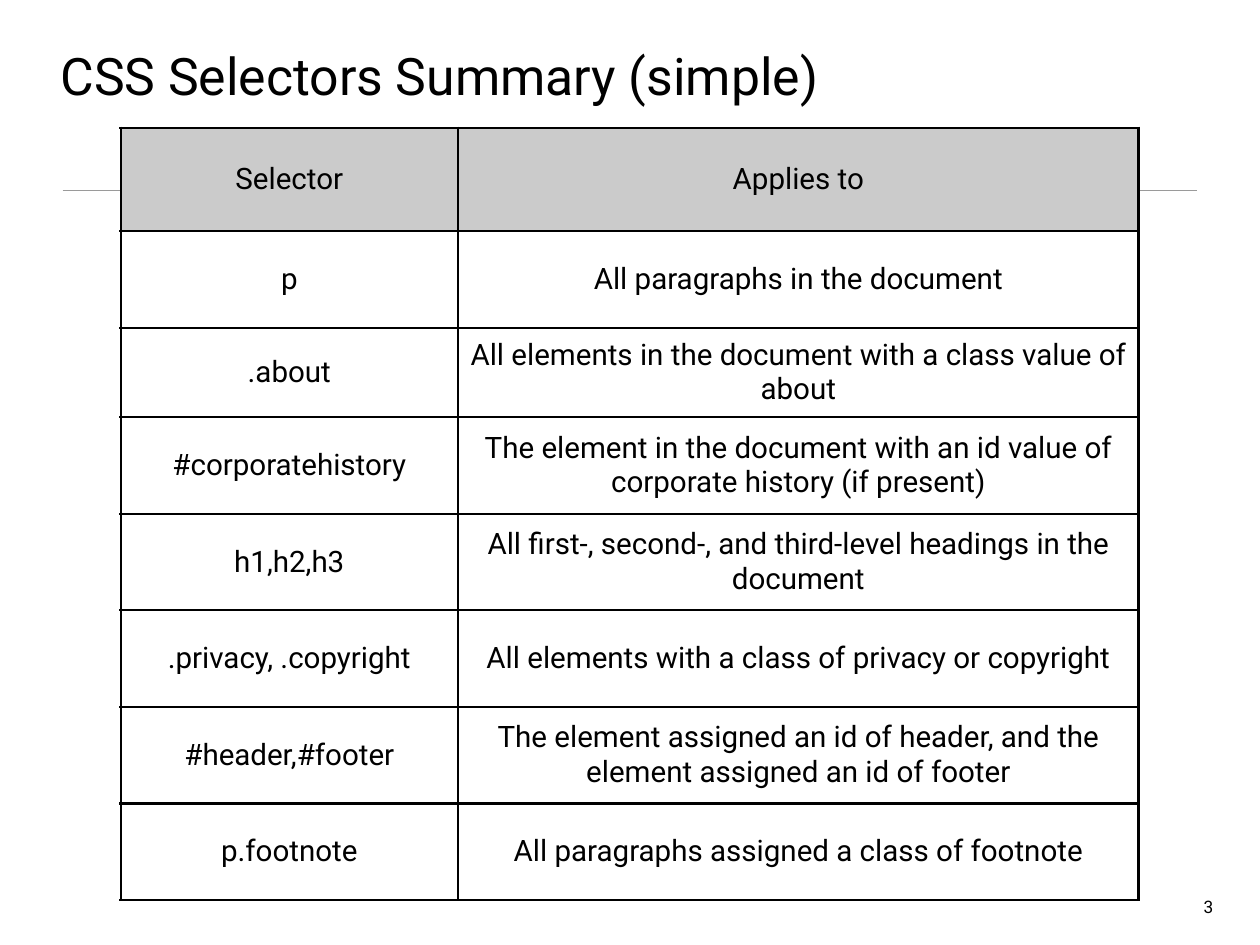
from lxml import etree
from pptx import Presentation
from pptx import util as u
from pptx.dml.color import RGBColor
from pptx.enum import shapes, text
from pptx.oxml import ns

Pt = u.Pt
BLACK = RGBColor(0, 0, 0)
GRAY = RGBColor(0xCB, 0xCB, 0xCB)
RULE = RGBColor(0x9A, 0x9A, 0x9A)
FACE = "Roboto"
PAD = Pt(4.5)
LEFT, MID, RIGHT = text.PP_ALIGN.LEFT, text.PP_ALIGN.CENTER, text.PP_ALIGN.RIGHT
TOP, CORE, BASE = text.MSO_ANCHOR.TOP, text.MSO_ANCHOR.MIDDLE, text.MSO_ANCHOR.BOTTOM
SIDES = ("margin_left", "margin_top", "margin_right", "margin_bottom")

ROWS = [
    ("Selector", "Applies to"),
    ("p", "All paragraphs in the document"),
    (".about", "All elements in the document with a class value of about"),
    ("#corporatehistory",
     "The element in the document with an id value of corporate history (if present)"),
    ("h1,h2,h3", "All first-, second-, and third-level headings in the document"),
    (".privacy, .copyright", "All elements with a class of privacy or copyright"),
    ("#header,#footer",
     "The element assigned an id of header, and the element assigned an id of footer"),
    ("p.footnote", "All paragraphs assigned a class of footnote"),
]
WIDTHS = (274.3, 553)
HEIGHTS = (84.2, 78.5, 72.7) + (78.5,) * 5


def apply(item, values):
    for name, value in values.items():
        setattr(item, name, value)


def write(frame, words, size, align):
    frame.text = words
    para = frame.paragraphs[0]
    para.alignment = align
    font = para.runs[0].font
    apply(font, {"size": Pt(size), "name": FACE})
    font.color.rgb = BLACK


def place(frame, anchor, wrap, fit):
    apply(frame, dict.fromkeys(SIDES, PAD))
    apply(frame, {"vertical_anchor": anchor, "word_wrap": wrap, "auto_size": fit})


def add_rule(slide, x, y, wide):
    line = slide.shapes.add_connector(
        shapes.MSO_CONNECTOR.STRAIGHT, Pt(x), Pt(y), Pt(x + wide), Pt(y))
    line.line.color.rgb = RULE
    line.line.width = Pt(1)
    etree.SubElement(line.element.spPr, ns.qn("a:effectLst"))


def add_title(slide, x, y, wide, high):
    title = slide.shapes.title
    apply(title, {"left": Pt(x), "top": Pt(y), "width": Pt(wide), "height": Pt(high)})
    place(title.text_frame, BASE, True, text.MSO_AUTO_SIZE.NONE)
    write(title.text_frame, "CSS Selectors Summary (simple)", 42, LEFT)


def add_number(slide, x, y, wide, high):
    box = slide.shapes.add_textbox(Pt(x), Pt(y), Pt(wide), Pt(high))
    place(box.text_frame, TOP, False, text.MSO_AUTO_SIZE.SHAPE_TO_FIT_TEXT)
    write(box.text_frame, "3", 14, RIGHT)


def add_border(cell):
    props = cell._tc.get_or_add_tcPr()
    for spot, side in enumerate(("lnL", "lnR", "lnT", "lnB")):
        edge = etree.Element(ns.qn("a:" + side), w=str(Pt(2)))
        fill = etree.SubElement(edge, ns.qn("a:solidFill"))
        etree.SubElement(fill, ns.qn("a:srgbClr"), val=str(BLACK))
        props.insert(spot, edge)


def add_grid(slide, x, y):
    grid = slide.shapes.add_table(
        len(ROWS), len(WIDTHS), Pt(x), Pt(y), Pt(sum(WIDTHS)), Pt(sum(HEIGHTS))).table
    for col, wide in zip(grid.columns, WIDTHS):
        col.width = Pt(wide)
    for r, (row, high, line) in enumerate(zip(grid.rows, HEIGHTS, ROWS)):
        row.height = Pt(high)
        for cell, words in zip(row.cells, line):
            apply(cell, dict.fromkeys(SIDES, PAD))
            cell.vertical_anchor = CORE
            write(cell.text_frame, words, 24, MID)
            if r == 0:
                cell.fill.solid()
                cell.fill.fore_color.rgb = GRAY
            else:
                cell.fill.background()
            add_border(cell)


def main():
    deck = Presentation()
    apply(deck, {"slide_width": Pt(1024), "slide_height": Pt(768)})
    slide = deck.slides.add_slide(deck.slide_layouts.get_by_name("Title Only"))
    add_rule(slide, 51, 154.8, 921.6)
    add_title(slide, 44.6, 26, 934, 64.8)
    add_number(slide, 966.2, 724.3, 24.5, 23.8)
    add_grid(slide, 98, 103.7)
    deck.save("out.pptx")


if __name__ == "__main__":
    main()
